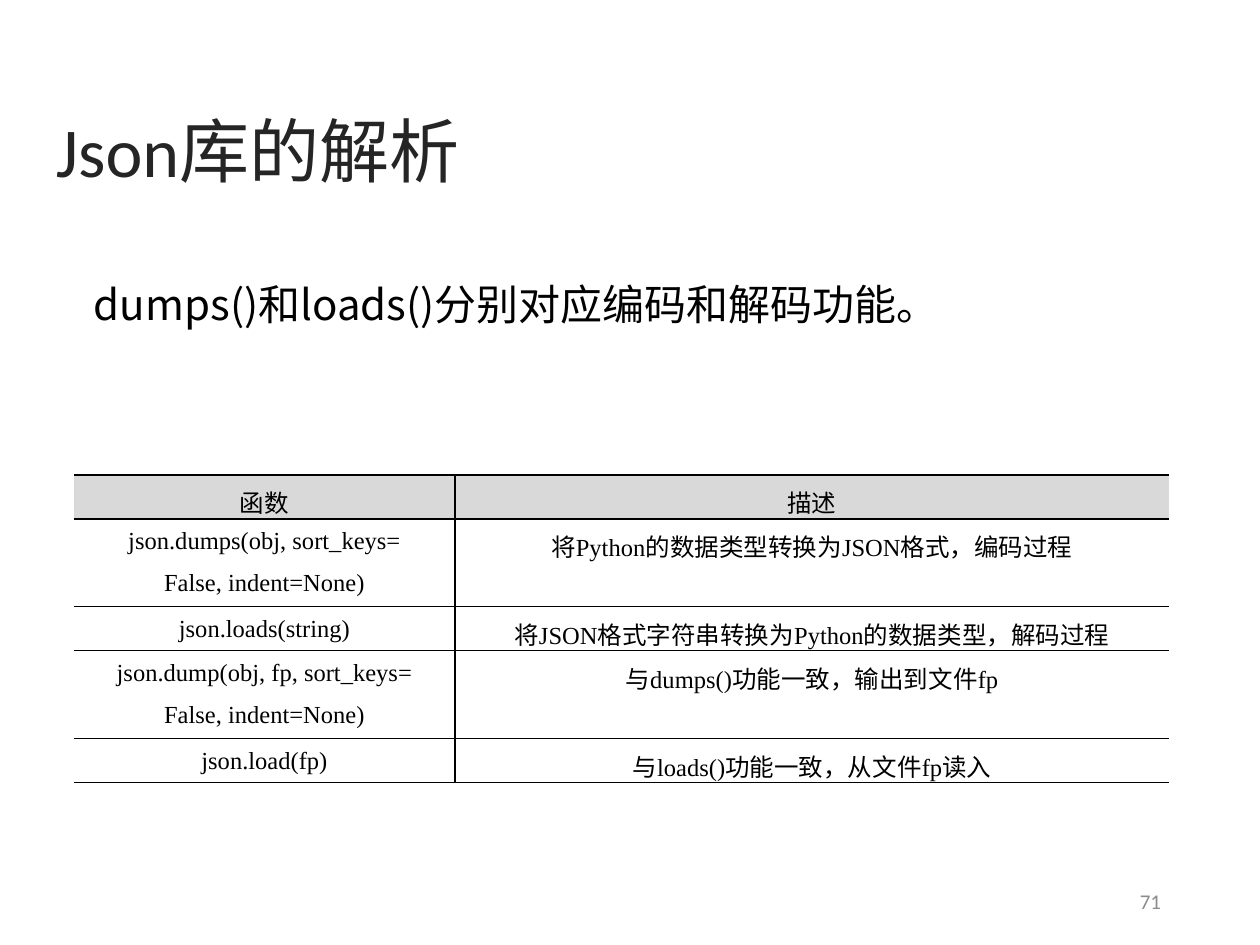
from dataclasses import dataclass
from itertools import groupby

from lxml import etree
from pptx import Presentation
from pptx import util as u
from pptx.dml.color import RGBColor
from pptx.enum import text
from pptx.oxml.ns import qn


@dataclass(frozen=True)
class Theme:
    sans: str = "Calibri"
    serif: str = "Times New Roman"
    chinese: str = "Noto Sans CJK SC"
    title_size: int = 40
    body_size: int = 24
    table_size: int = 14
    number_size: int = 12
    title_color: str = "252525"
    text_color: str = "000000"
    number_color: str = "8C8C8C"
    header_fill: str = "D9D9D9"
    cell_fill: str = "FFFFFF"
    header_line: float = 1
    row_line: float = 0.75


PX_PER_INCH = 126
ROWS = [
    ("函数", "描述"),
    ("json.dumps(obj, sort_keys=\nFalse, indent=None)",
     "将Python的数据类型转换为JSON格式，编码过程"),
    ("json.loads(string)", "将JSON格式字符串转换为Python的数据类型，解码过程"),
    ("json.dump(obj, fp, sort_keys=\nFalse, indent=None)",
     "与dumps()功能一致，输出到文件fp"),
    ("json.load(fp)", "与loads()功能一致，从文件fp读入"),
]


def px(length):
    return u.Emu(round(length * 914400 / PX_PER_INCH))


def set_typeface(font, latin, east_asian):
    font.name = latin
    properties = font._element
    etree.SubElement(properties, qn("a:ea"), typeface=east_asian)


class SlideBuilder:
    def __init__(self, slide, theme):
        self.slide = slide
        self.theme = theme

    def text_box(self, content, box, size, color, latin, insets=(1, 1, 0, 0),
                 anchor=text.MSO_ANCHOR.TOP, align=text.PP_ALIGN.LEFT):
        shape = self.slide.shapes.add_textbox(*map(px, box))
        frame = shape.text_frame
        frame.word_wrap = True
        frame.vertical_anchor = anchor
        (frame.margin_left, frame.margin_top,
         frame.margin_right, frame.margin_bottom) = map(px, insets)
        paragraph = frame.paragraphs[0]
        paragraph.text = content
        paragraph.alignment = align
        paragraph.font.size = u.Pt(size)
        paragraph.font.color.rgb = RGBColor.from_string(color)
        set_typeface(paragraph.font, latin, self.theme.chinese)

    def table(self, rows, left, top, widths, line_height):
        heights = [line_height * max(cell.count("\n") + 1 for cell in row) for row in rows]
        frame = self.slide.shapes.add_table(
            len(rows), len(widths), px(left), px(top), px(sum(widths)), px(sum(heights)))
        table = frame.table
        table.first_row = table.horz_banding = False
        for column, width in zip(table.columns, widths):
            column.width = px(width)
        for index, (row, height) in enumerate(zip(rows, heights)):
            table.rows[index].height = px(height)
            for column_index, content in enumerate(row):
                cell = table.cell(index, column_index)
                self.fill_cell(cell, content)
                self.style_cell(cell, index, column_index, len(widths))

    def fill_cell(self, cell, content):
        """Write one paragraph per line, with Latin and Chinese stretches as runs."""
        cell.margin_left = cell.margin_right = cell.margin_bottom = 0
        cell.margin_top = px(9)
        cell.text = content
        for index, paragraph in enumerate(cell.text_frame.paragraphs):
            line = paragraph.text
            paragraph.clear()
            paragraph.alignment = text.PP_ALIGN.CENTER
            if index:
                paragraph.space_before = u.Pt(8.4)
            paragraph.font.size = u.Pt(self.theme.table_size)
            paragraph.font.color.rgb = RGBColor.from_string(self.theme.text_color)
            for is_latin, letters in groupby(line, str.isascii):
                run = paragraph.add_run()
                run.text = "".join(letters)
                latin = self.theme.serif if is_latin else self.theme.chinese
                set_typeface(run.font, latin, self.theme.chinese)

    def style_cell(self, cell, row, column, column_count):
        theme = self.theme
        borders = {
            "L": theme.row_line if column else 0,
            "R": theme.row_line if column < column_count - 1 else 0,
            "T": theme.header_line if row < 2 else theme.row_line,
            "B": theme.header_line if row == 0 else theme.row_line,
        }
        properties = cell._tc.get_or_add_tcPr()
        for side, width in borders.items():
            line = etree.SubElement(properties, qn(f"a:ln{side}"), w=str(u.Pt(width)))
            if width:
                fill = etree.SubElement(line, qn("a:solidFill"))
                etree.SubElement(fill, qn("a:srgbClr"), val=theme.text_color)
            else:
                etree.SubElement(line, qn("a:noFill"))
        cell.fill.solid()
        cell.fill.fore_color.rgb = RGBColor.from_string(
            theme.cell_fill if row else theme.header_fill)


def main():
    presentation = Presentation()
    presentation.slide_width, presentation.slide_height = px(1260), px(945)
    theme = Theme()
    slide = presentation.slides.add_slide(presentation.slide_layouts[6])
    builder = SlideBuilder(slide, theme)
    builder.text_box("Json库的解析", (55, 106, 431, 87), theme.title_size,
                     theme.title_color, theme.sans, anchor=text.MSO_ANCHOR.MIDDLE)
    builder.table(ROWS, left=74, top=475, widths=(381, 714), line_height=44)
    builder.text_box("dumps()和loads()分别对应编码和解码功能。", (93, 277, 870, 54),
                     theme.body_size, theme.text_color, theme.chinese)
    builder.text_box("71", (890, 876, 284, 50), theme.number_size, theme.number_color,
                     theme.sans, insets=(13, 6, 13, 6),
                     anchor=text.MSO_ANCHOR.MIDDLE, align=text.PP_ALIGN.RIGHT)
    presentation.save("out.pptx")


if __name__ == "__main__":
    main()
